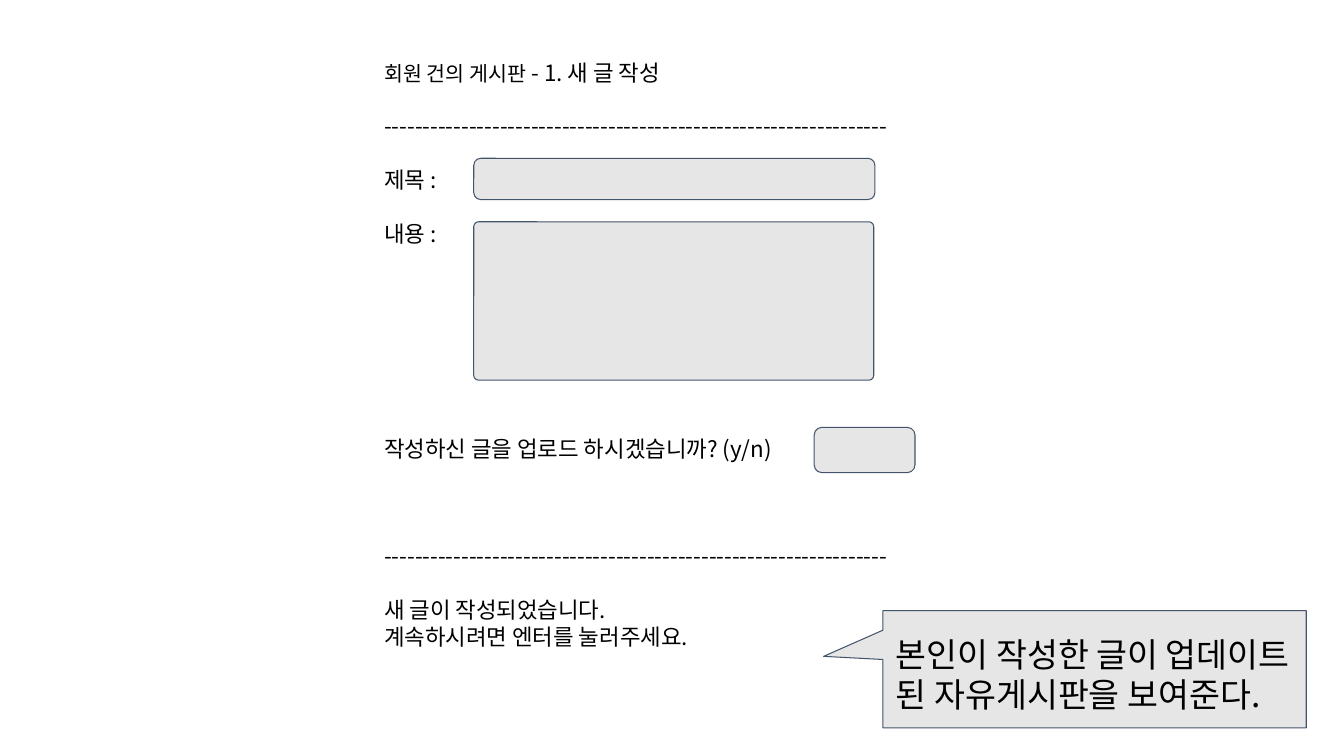
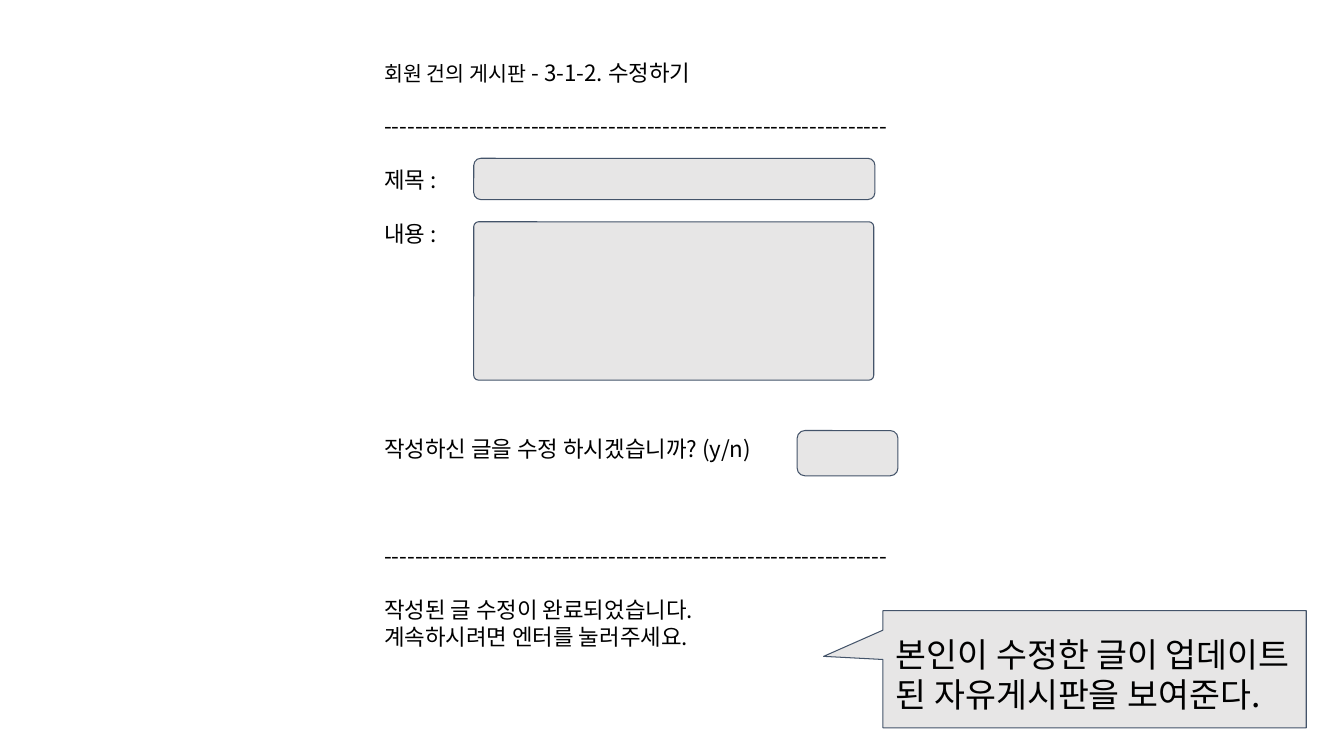
"""Build the two board-form screens: writing a post and editing a post."""
from dataclasses import dataclass

import pptx
import pptx.dml.color
import pptx.enum.shapes
import pptx.enum.text
import pptx.oxml
import pptx.oxml.ns
import pptx.util
from pptx.util import Cm

SHAPE = pptx.enum.shapes.MSO_SHAPE
RULE = "-" * 65


@dataclass(frozen=True)
class Theme:
    font: str = "Noto Sans CJK KR"
    ink: str = "000000"
    fill: str = "E7E6E6"
    line: str = "44546A"
    board: float = 14.7
    body: float = 16
    note: float = 24
    leading: float = 1.2
    inset: float = 0.33


class Deck:
    def __init__(self, theme):
        self.theme = theme
        self.prs = pptx.Presentation()
        self.prs.slide_width, self.prs.slide_height = Cm(33.87), Cm(19.05)
        self.s = None

    def slide(self):
        self.s = self.prs.slides.add_slide(self.prs.slide_layouts[6])

    def color(self, value):
        return pptx.dml.color.RGBColor.from_string(value)

    def frame(self, sp, anchor):
        tf = sp.text_frame
        tf.word_wrap = True
        tf.vertical_anchor = anchor
        tf.margin_left = tf.margin_right = Cm(self.theme.inset)
        tf.margin_top = tf.margin_bottom = Cm(self.theme.inset)
        return tf

    def style(self, p, size, blanks=0):
        leading = size * self.theme.leading
        p.alignment = pptx.enum.text.PP_ALIGN.LEFT
        p.line_spacing = pptx.util.Pt(leading)
        if blanks:
            p.space_before = pptx.util.Pt(blanks * leading)
        p.font.size = pptx.util.Pt(size)
        p.font.name = self.theme.font
        p.font.color.rgb = self.color(self.theme.ink)
        ea = pptx.oxml.parse_xml(
            f'<a:ea {pptx.oxml.ns.nsdecls("a")} typeface="{self.theme.font}"/>')
        p._p.get_or_add_pPr().get_or_add_defRPr().append(ea)

    def console(self, width, board, page, lines):
        sp = self.s.shapes.add_textbox(Cm(9.35), Cm(1.15), Cm(width), Cm(15.56))
        tf = self.frame(sp, pptx.enum.text.MSO_ANCHOR.TOP)
        p = tf.paragraphs[0]
        self.style(p, self.theme.body)
        r = p.add_run()
        r.text = board
        r.font.size = pptx.util.Pt(self.theme.board)
        p.add_run().text = page
        for blanks, text in lines:
            p = tf.add_paragraph()
            self.style(p, self.theme.body, blanks)
            p.add_run().text = text

    def shape(self, kind, x, y, w, h, *adjustments):
        sp = self.s.shapes.add_shape(kind, Cm(x), Cm(y), Cm(w), Cm(h))
        sp.shadow.inherit = False
        sp.fill.solid()
        sp.fill.fore_color.rgb = self.color(self.theme.fill)
        sp.line.color.rgb = self.color(self.theme.line)
        sp.line.width = pptx.util.Pt(0.75)
        for i, value in enumerate(adjustments):
            sp.adjustments[i] = value
        return sp

    def field(self, x, y, w, h, corner=0.17):
        self.shape(SHAPE.ROUNDED_RECTANGLE, x, y, w, h, corner)

    def callout(self, text):
        sp = self.shape(SHAPE.RECTANGULAR_CALLOUT,
                        22.25, 15.39, 10.67, 2.95, -0.64, -0.11)
        tf = self.frame(sp, pptx.enum.text.MSO_ANCHOR.MIDDLE)
        tf.margin_top = Cm(0.56)
        p = tf.paragraphs[0]
        self.style(p, self.theme.note)
        p.add_run().text = text

    def form(self, width, page, question, done, note, answer):
        self.slide()
        self.console(width, "회원 건의 게시판", f" - {page}", [
            (1, RULE),
            (1, "제목 :"),
            (1, "내용 :"),
            (7, question),
            (3, RULE),
            (1, done),
            (0, "계속하시려면 엔터를 눌러주세요."),
        ])
        self.field(11.94, 3.99, 10.11, 1.04)
        self.field(11.94, 5.59, 10.08, 3.99, 0.03)
        self.callout(note)
        self.field(*answer, 2.54, 1.14)


def main():
    deck = Deck(Theme())
    deck.form(15.2, "1. 새 글 작성",
              "작성하신 글을 업로드 하시겠습니까? (y/n)",
              "새 글이 작성되었습니다.",
              "본인이 작성한 글이 업데이트 된 자유게시판을 보여준다.",
              (20.52, 10.77))
    deck.form(16.56, "3-1-2. 수정하기",
              "작성하신 글을 수정 하시겠습니까? (y/n)",
              "작성된 글 수정이 완료되었습니다.",
              "본인이 수정한 글이 업데이트 된 자유게시판을 보여준다.",
              (20.09, 10.85))
    deck.prs.save("out.pptx")


if __name__ == "__main__":
    main()
